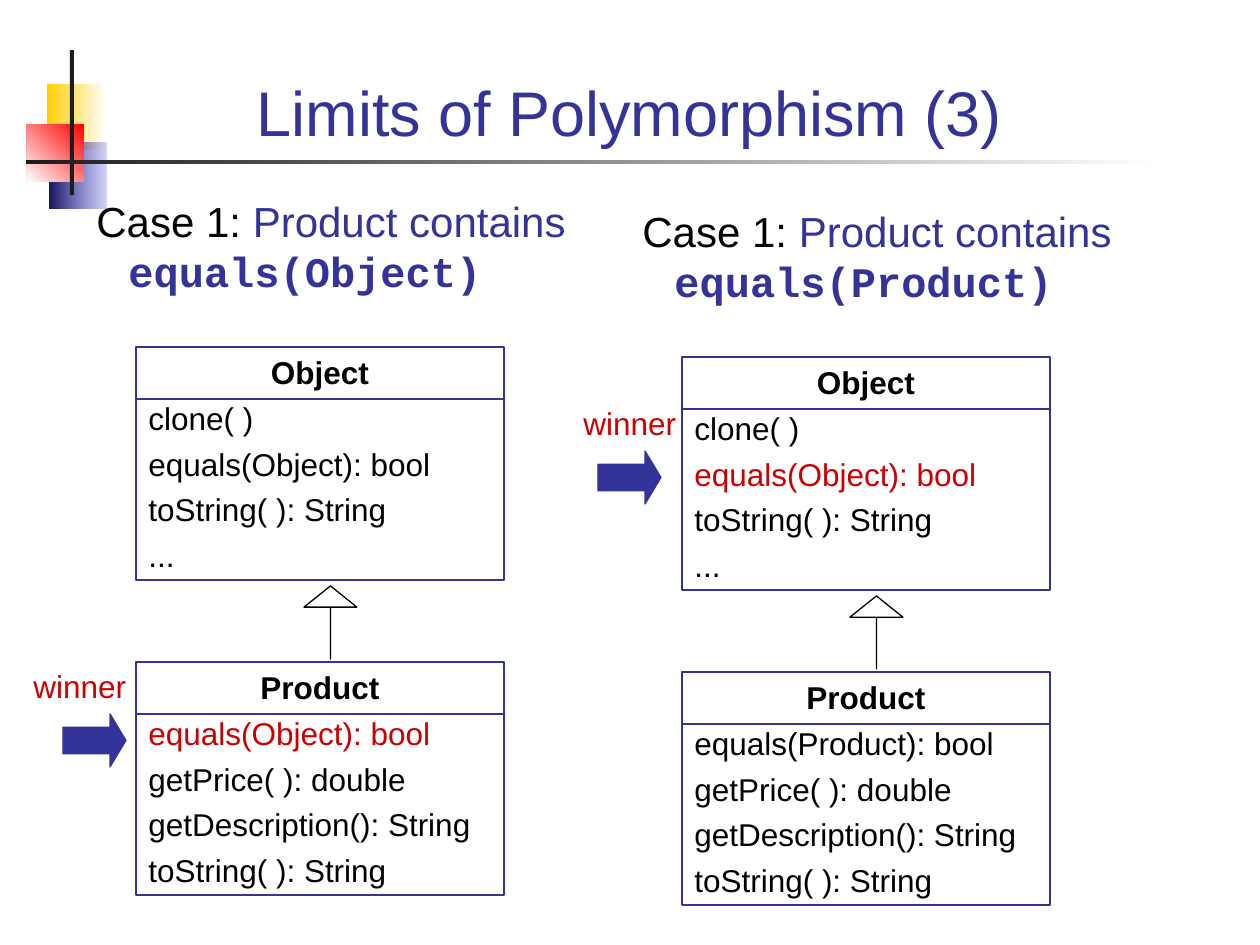
from dataclasses import dataclass

from lxml import etree
from pptx import Presentation
from pptx import util as u
from pptx.dml.color import RGBColor
from pptx.enum import shapes, text
from pptx.oxml.ns import qn

KIND = shapes.MSO_SHAPE
ALIGN = text.PP_ALIGN


@dataclass(frozen=True)
class Theme:
    """Hold the colours, fonts and type sizes."""
    ink: str = "000000"
    blue: str = "333399"
    red: str = "CC0000"
    white: str = "FFFFFF"
    dark: str = "1C1C1C"
    gold: str = "FFCF01"
    navy: str = "17175E"
    pale: str = "3333CC"
    flame: str = "FF0000"
    sans: str = "Arial"
    mono: str = "Courier New"
    title: int = 36
    head: int = 24
    body: int = 18


T = Theme()


def px(n):
    """Turn px into EMU at 126 px to the inch."""
    return u.Emu(round(n * 914400 / 126))


def rgb(code):
    """Give the colour object for a hex code."""
    return RGBColor.from_string(code)


def write(frame, runs, first=False, size=T.body, bold=False, align=ALIGN.LEFT,
          gap=0, hang=0, font=T.sans):
    """Add one paragraph of (text, colour, format) runs to a text frame."""
    para = frame.paragraphs[0] if first else frame.add_paragraph()
    para.alignment = align
    para.space_before = u.Pt(gap)
    if hang:
        props = para._p.get_or_add_pPr()
        props.set("marL", str(px(hang)))
        props.set("indent", str(-px(hang)))
    for words, ink, *extra in runs:
        run = para.add_run()
        run.text = words
        style = run.font
        style.size = u.Pt(size)
        style.name, style.bold = extra[0] if extra else (font, bold)
        style.color.rgb = rgb(ink)


def note(slide, x, y, w, h, runs, wrap=True, **style):
    """Place a text box with one paragraph."""
    frame = slide.shapes.add_textbox(px(x), px(y), px(w), px(h)).text_frame
    frame.word_wrap = wrap
    if not wrap:
        frame.auto_size = text.MSO_AUTO_SIZE.SHAPE_TO_FIT_TEXT
    write(frame, runs, first=True, **style)


def shape(slide, kind, x, y, w, h, fill=None, line=None, width=0.75, adj=()):
    """Place a preset shape with a plain fill and line."""
    item = slide.shapes.add_shape(kind, px(x), px(y), px(w), px(h))
    item.shadow.inherit = False
    for i, value in enumerate(adj):
        item.adjustments[i] = value
    if fill:
        item.fill.solid()
        item.fill.fore_color.rgb = rgb(fill)
    else:
        item.fill.background()
    if line:
        item.line.color.rgb = rgb(line)
        item.line.width = u.Pt(width)
    else:
        item.line.fill.background()
    return item


def blend(slide, x, y, w, h, start, end, angle=0, alpha=None):
    """Place a rectangle that fades from one colour to another."""
    fill = shape(slide, KIND.RECTANGLE, x, y, w, h).fill
    fill.gradient()
    fill.gradient_angle = angle
    for stop, code in zip(fill.gradient_stops, (start, end)):
        stop.color.rgb = rgb(code)
    stops = list(fill.gradient_stops)
    stops[0].position, stops[1].position = 0, 1
    if alpha:
        last = stops[1]._gs.find(qn("a:srgbClr"))
        etree.SubElement(last, qn("a:alpha")).set("val", str(alpha * 1000))


def emblem(slide, x, y):
    """Draw the coloured squares and crossed bars."""
    blend(slide, x + 21, y + 34, 59, 66, T.gold, T.white)
    blend(slide, x + 23, y + 93, 57, 66, T.navy, T.pale, alpha=20)
    blend(slide, x + 1, y + 74, 57, 58, T.flame, T.white, angle=225)
    shape(slide, KIND.RECTANGLE, x + 44, y, 4, 145, fill=T.dark)
    blend(slide, x, y + 110, 1134, 4, T.dark, T.white)


def title(slide, x, y, w, h, words):
    """Set the slide title in its placeholder."""
    item = slide.shapes.title
    item.left, item.top, item.width, item.height = map(px, (x, y, w, h))
    frame = item.text_frame
    frame.vertical_anchor = text.MSO_ANCHOR.BOTTOM
    write(frame, [(words, T.blue)], first=True, size=T.title, align=ALIGN.CENTER)


def card(slide, x, y, w, h, name, lines, win=None):
    """Draw a class box with its name and methods."""
    frame = shape(slide, KIND.RECTANGLE, x, y, w, h, line=T.blue, width=1).text_frame
    frame.word_wrap = True
    frame.vertical_anchor = text.MSO_ANCHOR.TOP
    write(frame, [(name, T.ink)], first=True, bold=True, align=ALIGN.CENTER)
    for words in lines:
        write(frame, [(words, T.red if words == win else T.ink)], gap=4.5)
    rule = slide.shapes.add_connector(
        shapes.MSO_CONNECTOR.STRAIGHT, px(x), px(y + 52), px(x + w), px(y + 52))
    rule.line.color.rgb = rgb(T.blue)
    rule.line.width = u.Pt(0.75)
    etree.SubElement(rule._element.spPr, qn("a:effectLst"))


def panel(slide, x, y, call, top=None, low=None):
    """Draw one case: its heading, two classes and their link."""
    code = (T.mono, True)
    note(slide, x, y, 546, 126,
         [("Case 1: ", T.ink), ("Product contains ", T.blue), (call, T.blue, code)],
         size=T.head, hang=32)
    card(slide, x + 52, y + 158, 368, 233, "Object",
         ["clone( )", "equals(Object): bool", "toString( ): String", "..."], top)
    card(slide, x + 52, y + 473, 368, 233, "Product",
         [call + ": bool", "getPrice( ): double", "getDescription(): String",
          "toString( ): String"], low)
    shape(slide, KIND.UP_ARROW, x + 220, y + 397, 53, 73,
          fill=T.white, line=T.ink, adj=(0, 0.4))


def winner(slide, x, y, shift):
    """Mark the chosen method with a word and an arrow."""
    shape(slide, KIND.RIGHT_ARROW, x + shift, y + 53, 63, 53,
          fill=T.blue, line=T.blue, adj=(0.5, 0.3))
    note(slide, x, y, 120, 50, [("winner", T.red)], wrap=False)


def main():
    """Build the slide and save it."""
    deck = Presentation()
    deck.slide_width, deck.slide_height = px(1260), px(945)
    slide = deck.slides.add_slide(deck.slide_layouts[5])
    emblem(slide, 26, 50)
    title(slide, 84, 35, 1091, 120, "Limits of Polymorphism (3)")
    pick = "equals(Object): bool"
    panel(slide, 84, 189, "equals(Object)", low=pick)
    panel(slide, 630, 199, "equals(Product)", top=pick)
    winner(slide, 21, 661, 42)
    winner(slide, 571, 398, 27)
    deck.save("out.pptx")


if __name__ == "__main__":
    main()
